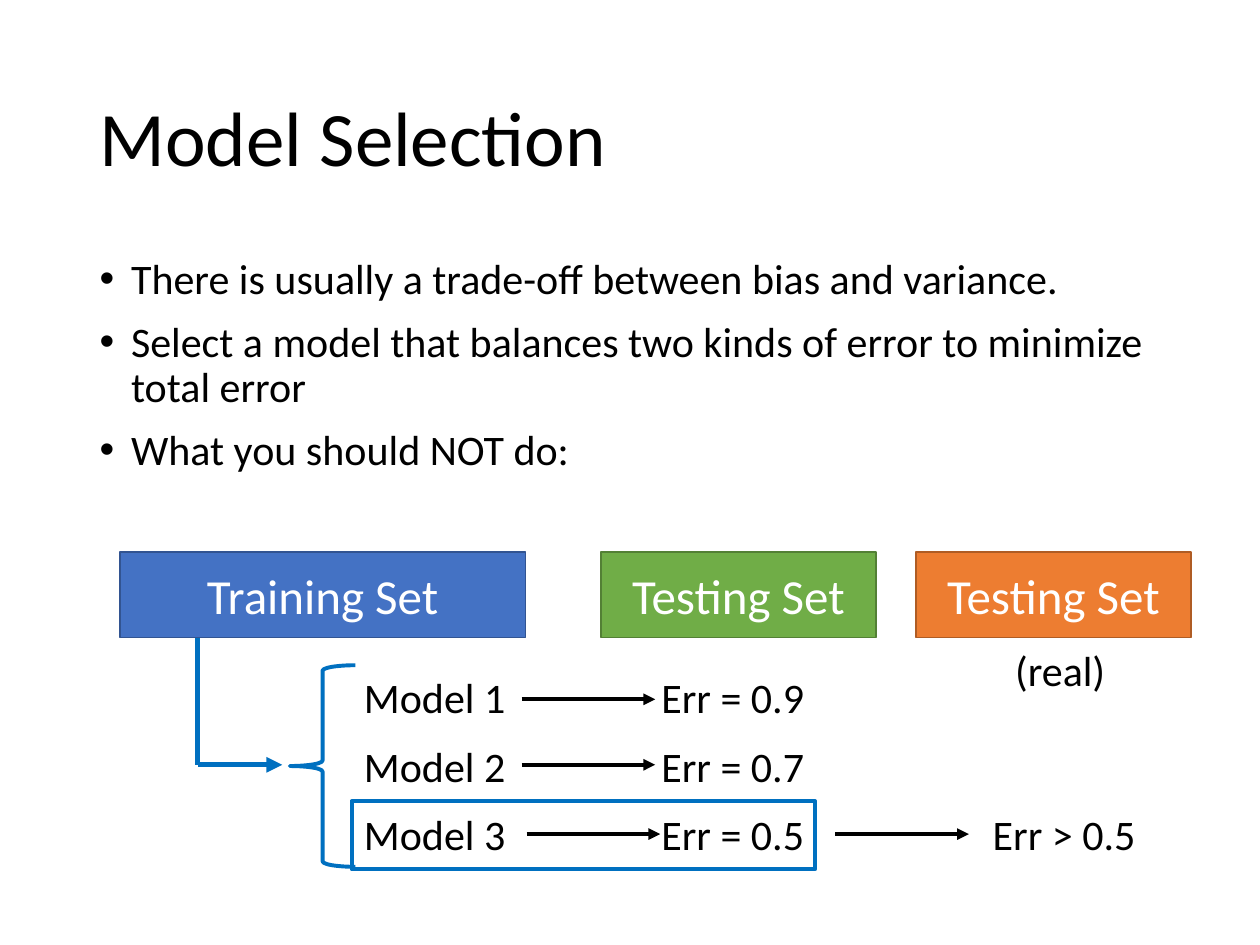
from dataclasses import dataclass

from lxml import etree
from pptx import Presentation
from pptx.dml.color import RGBColor
from pptx.enum.shapes import MSO_CONNECTOR, MSO_SHAPE
from pptx.enum.text import MSO_ANCHOR, MSO_AUTO_SIZE, PP_ALIGN
from pptx.oxml.ns import qn
from pptx.util import Inches, Pt

RECT, BRACE = MSO_SHAPE.RECTANGLE, MSO_SHAPE.LEFT_BRACE
STRAIGHT = MSO_CONNECTOR.STRAIGHT
LEFT, CENTER = PP_ALIGN.LEFT, PP_ALIGN.CENTER
TOP, MIDDLE = MSO_ANCHOR.TOP, MSO_ANCHOR.MIDDLE
FIT_SHAPE = MSO_AUTO_SIZE.SHAPE_TO_FIT_TEXT
FONT, BLACK, WHITE, BLUE = "Calibri", "000000", "FFFFFF", "0070C0"


@dataclass
class DataSet:
    name: str
    left: float
    width: float
    fill: str
    line: str


@dataclass
class Label:
    text: str
    left: float
    top: float
    width: float
    align: PP_ALIGN = LEFT


@dataclass
class Line:
    start: tuple[float, float]
    end: tuple[float, float]
    color: str = BLACK
    width: float = 2.25
    arrow: bool = True


def rgb(color: str) -> RGBColor:
    return RGBColor.from_string(color)


def add_run(p, text: str, size: float, color: str = BLACK) -> None:
    r = p.add_run()
    r.text = text
    r.font.name, r.font.size = FONT, Pt(size)
    r.font.color.rgb = rgb(color)


def place(sp, left: float, top: float, width: float, height: float) -> None:
    sp.left, sp.top = Inches(left), Inches(top)
    sp.width, sp.height = Inches(width), Inches(height)


def add_outline(s, kind, box: tuple, line: str, width: float):
    sp = s.shapes.add_shape(kind, *map(Inches, box))
    sp.shadow.inherit = False
    sp.fill.background()
    sp.line.color.rgb, sp.line.width = rgb(line), Pt(width)
    return sp


def add_data_set(s, d: DataSet) -> None:
    sp = add_outline(s, RECT, (d.left, 4.38, d.width, 0.68), d.line, 1)
    sp.fill.solid()
    sp.fill.fore_color.rgb = rgb(d.fill)
    tf = sp.text_frame
    tf.word_wrap, tf.vertical_anchor = True, MIDDLE
    p = tf.paragraphs[0]
    p.alignment = CENTER
    add_run(p, d.name, 28, WHITE)


def add_label(s, label: Label) -> None:
    box = (label.left, label.top, label.width, 0.5)
    tf = s.shapes.add_textbox(*map(Inches, box)).text_frame
    tf.word_wrap, tf.auto_size = True, FIT_SHAPE
    p = tf.paragraphs[0]
    p.alignment = label.align
    add_run(p, label.text, 24)


def add_line(s, line: Line) -> None:
    c = s.shapes.add_connector(STRAIGHT, *map(Inches, line.start + line.end))
    c.line.color.rgb, c.line.width = rgb(line.color), Pt(line.width)
    if line.arrow:
        etree.SubElement(c.line._get_or_add_ln(), qn("a:tailEnd"), type="triangle")
    etree.SubElement(c._element.spPr, qn("a:effectLst"))


def add_bullets(sp, items: list[str]) -> None:
    tf = sp.text_frame
    tf.vertical_anchor = TOP
    for i, text in enumerate(items):
        p = tf.paragraphs[0] if i == 0 else tf.add_paragraph()
        p.line_spacing, p.space_before = 0.9, Pt(10 if i else 0)
        pPr = p._p.get_or_add_pPr()
        pPr.set("marL", str(Inches(0.25)))
        pPr.set("indent", str(Inches(-0.25)))
        etree.SubElement(pPr, qn("a:buFont"), typeface="Arial")
        etree.SubElement(pPr, qn("a:buChar"), char="•")
        add_run(p, text, 24)


def main() -> None:
    prs = Presentation()
    prs.slide_width, prs.slide_height = Inches(10), Inches(7.5)
    s = prs.slides.add_slide(prs.slide_layouts[1])

    # Title and bullets
    title, body = s.shapes.title, s.placeholders[1]
    place(title, 0.69, 0.4, 8.62, 1.45)
    title.text_frame.vertical_anchor = MIDDLE
    p = title.text_frame.paragraphs[0]
    p.alignment, p.line_spacing = LEFT, 0.9
    add_run(p, "Model Selection", 44)
    place(body, 0.69, 2, 8.62, 4.76)
    add_bullets(body, [
        "There is usually a trade-off between bias and variance.",
        "Select a model that balances two kinds of error to minimize total error",
        "What you should NOT do:",
    ])

    # Data sets
    for d in (
        DataSet("Training Set", 0.95, 3.22, "4472C4", "325491"),
        DataSet("Testing Set", 4.77, 2.18, "70AD47", "538035"),
        DataSet("Testing Set", 7.27, 2.18, "ED7D31", "AF5C24"),
    ):
        add_data_set(s, d)

    # Models and their errors: label top, arrow start, arrow height
    rows = [(5.28, 4.14, 5.55), (5.83, 4.14, 6.07), (6.37, 4.18, 6.62)]
    errors = ["0.9", "0.7", "0.5"]
    arrow_length = 1.06
    for i, ((top, x, y), error) in enumerate(zip(rows, errors), 1):
        add_label(s, Label(f"Model {i}", 2.79, top, 1.38))
        add_label(s, Label(f"Err = {error}", 5.15, top, 1.49))
        add_line(s, Line((x, y), (x + arrow_length, y)))

    # Training set feeds the bracketed models
    add_outline(s, BRACE, (2.3, 5.28, 0.52, 1.6), BLUE, 2.25)
    add_line(s, Line((1.57, 5.06), (1.57, 6.07), BLUE, 3, arrow=False))
    add_line(s, Line((1.57, 6.07), (2.24, 6.07), BLUE, 3))

    # Selected model on the real testing set
    add_label(s, Label("(real)", 7.61, 5.07, 1.61, CENTER))
    add_line(s, Line((6.63, 6.62), (6.63 + arrow_length, 6.62)))
    add_label(s, Label("Err > 0.5", 7.78, 6.37, 1.49))
    add_outline(s, RECT, (2.79, 6.36, 3.68, 0.54), BLUE, 2.25)

    prs.save("out.pptx")


if __name__ == "__main__":
    main()
